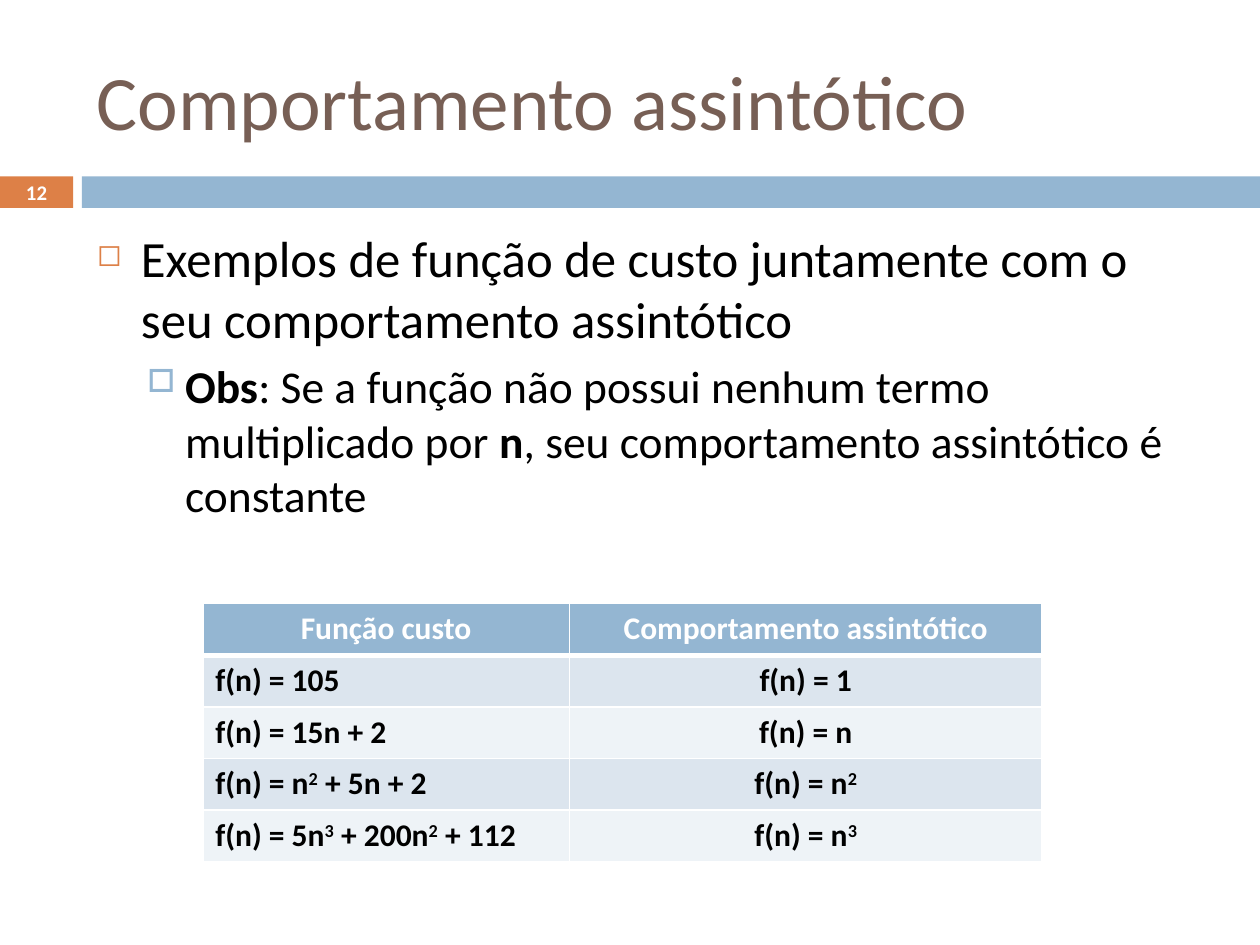
from lxml.etree import SubElement
from pptx import Presentation
from pptx.dml.color import RGBColor
from pptx.enum.shapes import MSO_SHAPE
from pptx.enum.text import MSO_ANCHOR, PP_ALIGN
from pptx.oxml.ns import qn
from pptx.util import Inches, Pt

TITLE = "Comportamento assintótico"
NUMBER = "12"
BULLETS = [
    ("Exemplos de função de custo juntamente com o seu comportamento assintótico",
     dict(size=29, char="◻", color="DD8047", scale=60, left=0.35, hang=0.35, before=0)),
    ("*Obs*: Se a função não possui nenhum termo multiplicado por *n*, "
     "seu comportamento assintótico é constante",
     dict(size=26, char="□", color="94B6D2", scale=70, left=0.7, hang=0.3, before=5.5)),
]
ROWS = [
    ("Função custo", "Comportamento assintótico"),
    ("f(n) = 105", "f(n) = 1"),
    ("f(n) = 15n + 2", "f(n) = n"),
    ("f(n) = n^2^ + 5n + 2", "f(n) = n^2^"),
    ("f(n) = 5n^3^ + 200n^2^ + 112", "f(n) = n^3^"),
]
COLS, ROW_H = (2.91, 3.75), 0.41
BAR_TOP, BAR_H = 1.4, 0.25
THEME = dict(
    font="Calibri", title="775F55", text="000000", white="FFFFFF",
    accent="DD8047", blue="94B6D2", bands=("EEF3F7", "DCE5EE"),
    title_size=44, number_size=11.9, table_size=18,
)


def add_runs(p, text, size, color, bold=False):
    """Write text, with *bold* and ^superscript^ marks, as formatted runs."""
    for i, part in enumerate(text.split("*")):
        for j, piece in enumerate(part.split("^")):
            if not piece:
                continue
            r = p.add_run()
            r.text = piece
            fmt = dict(name=THEME["font"], size=Pt(size), bold=bold or i % 2 == 1)
            for key, value in fmt.items():
                setattr(r.font, key, value)
            r.font.color.rgb = RGBColor.from_string(color)
            if j % 2:
                r.font._element.set("baseline", "30000")


def add_bar(s, left, width, color):
    """Add a plain bar on the divider line."""
    sp = s.shapes.add_shape(MSO_SHAPE.RECTANGLE, Inches(left), Inches(BAR_TOP),
                            Inches(width), Inches(BAR_H))
    sp.shadow.inherit = False
    sp.fill.solid()
    sp.fill.fore_color.rgb = RGBColor.from_string(color)
    sp.line.fill.background()


def add_box(s, box, anchor=MSO_ANCHOR.TOP, **margins):
    """Add a wrapping text box and return its text frame."""
    tf = s.shapes.add_textbox(*map(Inches, box)).text_frame
    for key, value in dict(word_wrap=True, vertical_anchor=anchor, **margins).items():
        setattr(tf, key, value)
    return tf


def add_bullet(p, char, color, scale, left, hang):
    """Give a paragraph a coloured bullet and a hanging indent."""
    pPr = p._p.get_or_add_pPr()
    pPr.set("marL", str(Inches(left)))
    pPr.set("indent", str(-Inches(hang)))
    clr = SubElement(pPr, qn("a:buClr"))
    SubElement(clr, qn("a:srgbClr"), val=color)
    SubElement(pPr, qn("a:buSzPct"), val=str(scale * 1000))
    SubElement(pPr, qn("a:buChar"), char=char)


def set_borders(cell, bottom):
    """Draw white borders round a cell, ahead of its fill."""
    tcPr = cell._tc.get_or_add_tcPr()
    for i, (side, width) in enumerate(zip("LRTB", (1, 1, 1, bottom))):
        ln = SubElement(tcPr, qn(f"a:ln{side}"), w=str(Pt(width)))
        fill = SubElement(ln, qn("a:solidFill"))
        SubElement(fill, qn("a:srgbClr"), val=THEME["white"])
        tcPr.insert(i, ln)


def add_cost_table(s):
    """Add the table of cost functions."""
    table = s.shapes.add_table(len(ROWS), len(COLS), Inches(1.61), Inches(4.79),
                               Inches(sum(COLS)), Inches(ROW_H * len(ROWS))).table
    for col, width in zip(table.columns, COLS):
        col.width = Inches(width)
    for i, row in enumerate(ROWS):
        table.rows[i].height = Inches(ROW_H)
        head = i == 0
        for j, text in enumerate(row):
            cell = table.cell(i, j)
            set_borders(cell, 3 if head else 1)
            cell.fill.solid()
            cell.fill.fore_color.rgb = RGBColor.from_string(
                THEME["blue"] if head else THEME["bands"][i % 2])
            p = cell.text_frame.paragraphs[0]
            p.alignment = PP_ALIGN.CENTER if head or j else PP_ALIGN.LEFT
            add_runs(p, text, THEME["table_size"], THEME["white" if head else "text"], True)


def main():
    """Build the slide and save it."""
    prs = Presentation()
    prs.slide_width, prs.slide_height = Inches(10), Inches(7.5)
    s = prs.slides.add_slide(prs.slide_layouts[6])
    add_bar(s, 0, 0.58, THEME["accent"])
    add_bar(s, 0.65, 9.35, THEME["blue"])

    tf = add_box(s, (0.67, 0.25, 8.92, 1.08), MSO_ANCHOR.MIDDLE)
    add_runs(tf.paragraphs[0], TITLE, THEME["title_size"], THEME["title"])

    tf = add_box(s, (0, 1.39, 0.58, 0.27), MSO_ANCHOR.MIDDLE, margin_top=0, margin_bottom=0)
    tf.paragraphs[0].alignment = PP_ALIGN.CENTER
    add_runs(tf.paragraphs[0], NUMBER, THEME["number_size"], THEME["white"], True)

    tf = add_box(s, (0.67, 1.75, 8.92, 4.92))
    for i, (text, style) in enumerate(BULLETS):
        p = tf.add_paragraph() if i else tf.paragraphs[0]
        p.level = i
        add_bullet(p, *(style[k] for k in ("char", "color", "scale", "left", "hang")))
        p.space_before = Pt(style["before"])
        add_runs(p, text, style["size"], THEME["text"])

    add_cost_table(s)
    prs.save("out.pptx")


if __name__ == "__main__":
    main()
